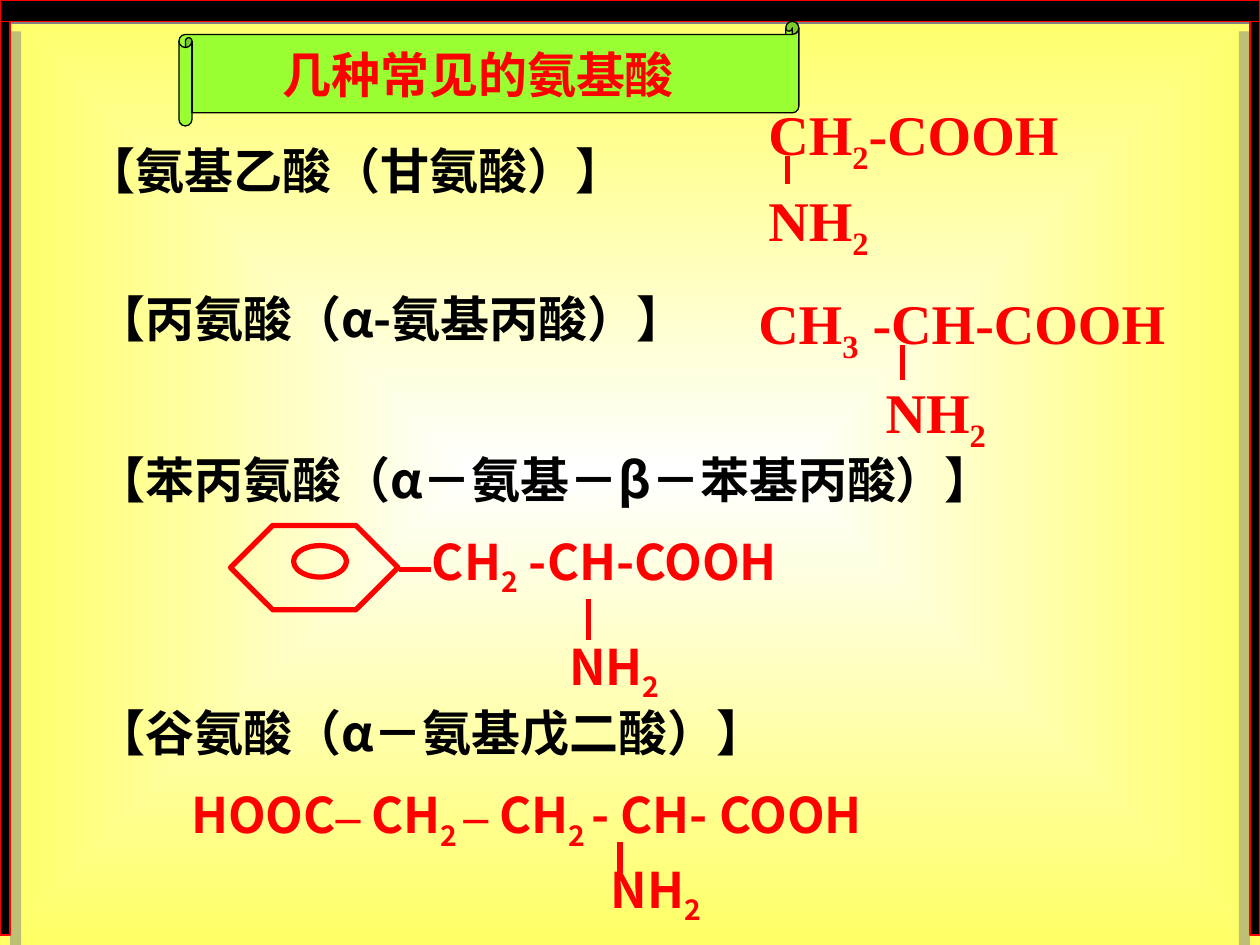
from dataclasses import dataclass
from itertools import groupby
from typing import Optional

from lxml.etree import SubElement as Sub
from pptx import Presentation
from pptx.dml.color import RGBColor as Rgb
from pptx.enum.shapes import MSO_CONNECTOR as Link, MSO_SHAPE as Form
from pptx.enum.text import MSO_ANCHOR as Anchor, MSO_AUTO_SIZE as Auto
from pptx.oxml import parse_xml
from pptx.oxml.ns import nsdecls, qn
from pptx.util import Inches, Pt

INK = {"black": "000000", "red": "FF0000", "green": "99FF33",
       "white": "FFFFFF", "lemon": "FFFF66", "gray": "808080"}
SANS, SERIF, PLAIN = "Noto Sans CJK SC", "Times New Roman", "Arial"


@dataclass
class Bar:
    left: float
    top: float
    wide: float
    high: float
    alpha: int
    dist: float
    angle: int


@dataclass
class Label:
    text: str
    left: float
    top: float
    wide: float
    high: float
    face: str = SANS
    size: int = 28
    ink: str = "red"
    dent: float = 0


@dataclass
class Bond:
    left: float
    top: float
    right: float
    base: float


BARS = [
    Bar(0, 0, 10, 0.17, 100, 1.4, 45),
    Bar(0, 0.17, 0.08, 7.25, 50, 8.5, 45),
    Bar(9.92, 0.17, 0.08, 7.25, 50, 8.5, 135),
]
NAMES = [
    Label("【氨基乙酸（甘氨酸）】", 0.42, 1.07, 5.17, 0.57, ink="black", dent=0.17),
    Label("【丙氨酸（α-氨基丙酸）】", 0.58, 2.24, 6.67, 0.57, ink="black", dent=0.09),
    Label("【苯丙氨酸（α－氨基－β－苯基丙酸）】", 0.58, 3.52, 8.92, 0.57,
          ink="black", dent=0.09),
    Label("【谷氨酸（α－氨基戊二酸）】", 0.58, 5.53, 8.92, 0.57,
          ink="black", dent=0.09),
]
CHAINS = [
    Label("CH_2_-COOH", 6, 0.74, 2.83, 0.71, SERIF, 32),
    Label("NH_2", 6, 1.42, 1.42, 0.71, SERIF, 32),
    Label("CH_3_ -CH-COOH", 5.92, 2.24, 3.5, 0.71, SERIF, 32),
    Label("NH_2", 6.93, 2.95, 1.48, 0.71, SERIF, 32),
    Label("CH_2_ -CH-COOH", 3.33, 4.17, 3.75, 0.63),
    Label("NH_2", 4.42, 5, 1.58, 0.63),
    Label("HOOC– CH_2 _– CH_2 _- CH- COOH", 1.42, 6.18, 8.17, 0.63),
    Label("NH_2", 4.75, 6.77, 1.17, 0.63),
]
BONDS = [
    Bond(6.25, 1.24, 6.25, 1.46),
    Bond(7.16, 2.74, 7.16, 3.02),
    Bond(4.67, 4.75, 4.67, 5.08),
    Bond(3.17, 4.52, 3.42, 4.52),
    Bond(4.92, 6.68, 4.92, 6.93),
]


def paint(slide) -> None:
    stops = "".join(
        f'<a:gs pos="{pos}"><a:srgbClr val="{INK[ink]}"/></a:gs>'
        for pos, ink in ((0, "white"), (100000, "lemon")))
    back = parse_xml(
        f'<p:bg {nsdecls("p", "a")}><p:bgPr><a:gradFill rotWithShape="0">'
        f'<a:gsLst>{stops}</a:gsLst><a:path path="rect">'
        '<a:fillToRect l="50000" t="50000" r="50000" b="50000"/></a:path>'
        '</a:gradFill><a:effectLst/></p:bgPr></p:bg>')
    slide.element.cSld.insert(0, back)


def block(slide, form, left: float, top: float, wide: float, high: float,
          fill: Optional[str], line: str, width: float):
    shape = slide.shapes.add_shape(
        form, Inches(left), Inches(top), Inches(wide), Inches(high))
    shape.shadow.inherit = False
    if fill:
        shape.fill.solid()
        shape.fill.fore_color.rgb = Rgb.from_string(INK[fill])
    else:
        shape.fill.background()
    shape.line.color.rgb = Rgb.from_string(INK[line])
    shape.line.width = Pt(width)
    return shape


def border(slide, bar: Bar) -> None:
    shape = block(slide, Form.RECTANGLE, bar.left, bar.top, bar.wide,
                  bar.high, "black", "red", 0.75)
    glow = shape._element.spPr.find(qn("a:effectLst"))
    shade = Sub(glow, qn("a:outerShdw"), dist=str(int(Pt(bar.dist))),
                dir=str(bar.angle * 60000), algn="ctr", rotWithShape="0")
    tint = Sub(shade, qn("a:srgbClr"), val=INK["gray"])
    Sub(tint, qn("a:alpha"), val=str(bar.alpha * 1000))


def write(shape, label: Label) -> None:
    frame = shape.text_frame
    frame.word_wrap = True
    para = frame.paragraphs[0]
    props = para._p.get_or_add_pPr()
    props.set("marL", str(Inches(label.dent)))
    props.set("indent", "0")
    props.set("algn", "l")
    for spot, part in enumerate(label.text.split("_")):
        for dash, signs in groupby(part, lambda sign: sign == "–"):
            run = para.add_run()
            run.text = "".join(signs)
            style = {"name": SERIF if dash else label.face,
                     "size": Pt(label.size), "bold": True}
            for key, value in style.items():
                setattr(run.font, key, value)
            run.font.color.rgb = Rgb.from_string(INK[label.ink])
            marks = run._r.get_or_add_rPr()
            Sub(marks, qn("a:ea"), typeface=SANS)
            if spot % 2:
                marks.set("baseline", "-25000")


def note(slide, label: Label) -> None:
    shape = slide.shapes.add_textbox(
        Inches(label.left), Inches(label.top),
        Inches(label.wide), Inches(label.high))
    write(shape, label)
    shape.text_frame.auto_size = Auto.SHAPE_TO_FIT_TEXT


def join(slide, bond: Bond) -> None:
    line = slide.shapes.add_connector(
        Link.STRAIGHT, Inches(bond.left), Inches(bond.top),
        Inches(bond.right), Inches(bond.base))
    line.line.color.rgb = Rgb.from_string(INK["red"])
    line.line.width = Pt(3)
    Sub(line._element.spPr, qn("a:effectLst"))


def main() -> None:
    deck = Presentation()
    deck.slide_width, deck.slide_height = Inches(10), Inches(7.5)
    slide = deck.slides.add_slide(deck.slide_layouts[6])
    paint(slide)
    for bar in BARS:
        border(slide, bar)
    title = Label("几种常见的氨基酸", 1.42, 0.17, 4.92, 0.83, PLAIN, dent=0.62)
    scroll = block(slide, Form.HORIZONTAL_SCROLL, title.left, title.top,
                   title.wide, title.high, "green", "black", 0.75)
    scroll.text_frame.vertical_anchor = Anchor.MIDDLE
    write(scroll, title)
    for label in NAMES + CHAINS:
        note(slide, label)
    for bond in BONDS:
        join(slide, bond)
    ring = block(slide, Form.HEXAGON, 1.83, 4.17, 1.33, 0.67, None, "red", 3)
    ring.adjustments[0] = 0.5
    block(slide, Form.OVAL, 2.33, 4.33, 0.42, 0.25, None, "red", 3)
    deck.save("out.pptx")


if __name__ == "__main__":
    main()
